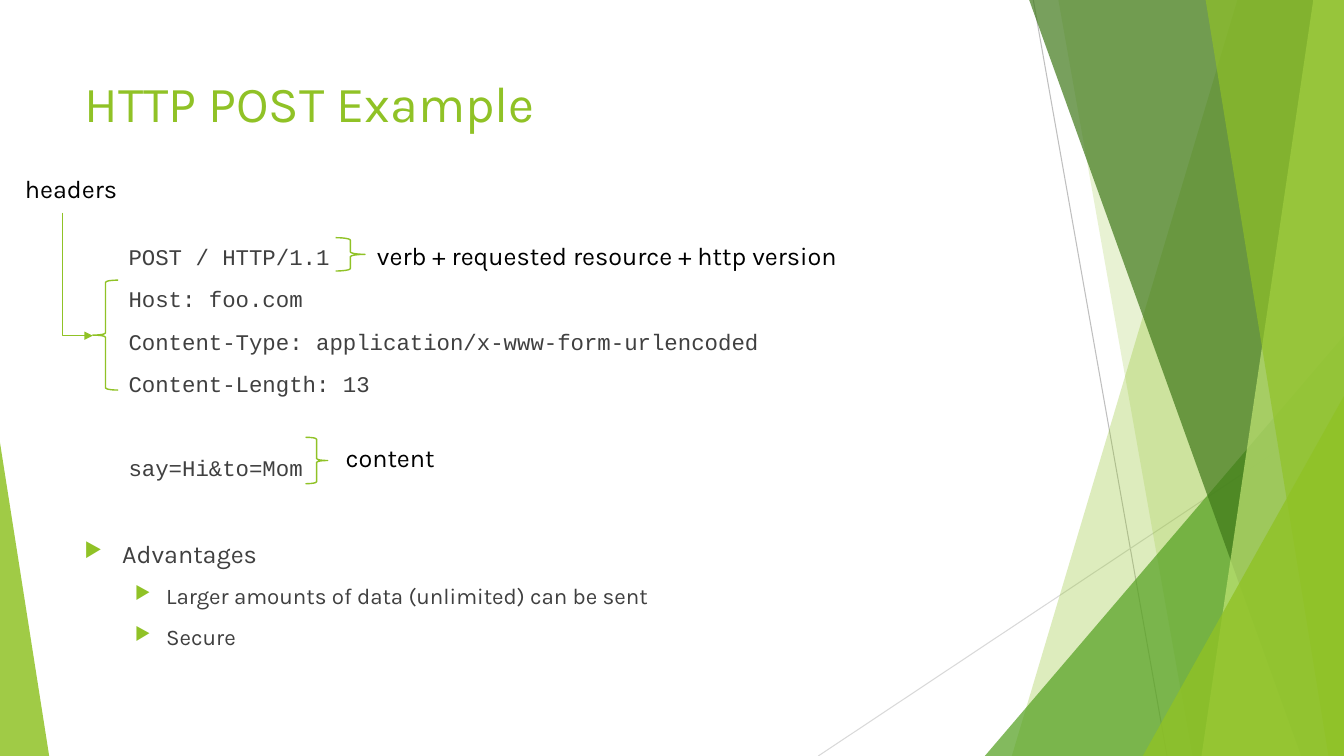
from lxml import etree
from pptx import Presentation
from pptx import util as u
from pptx.dml.color import RGBColor
from pptx.enum import shapes, text
from pptx.oxml.ns import qn

W, H = 33.87, 19.05
LIME, GREY, BLACK = "90C226", "404040", "000000"
SHAPE = shapes.MSO_SHAPE


def rgb(value):
    return RGBColor.from_string(value)


def child(parent, tag, **attrs):
    return etree.SubElement(parent, qn(tag), attrs)


def fill(sp, color, alpha):
    sp.shadow.inherit = False
    sp.line.fill.background()
    sp.fill.solid()
    sp.fill.fore_color.rgb = rgb(color)
    clr = sp.fill._xPr.find(".//" + qn("a:srgbClr"))
    child(clr, "a:alpha", val=str(alpha * 1000))


def band(s, top_x, bottom_x, color, alpha):
    points = [(W, -0.02), (W, H), (bottom_x, H)]
    fb = s.shapes.build_freeform(u.Cm(top_x), u.Cm(-0.02))
    fb.add_line_segments([(u.Cm(x), u.Cm(y)) for x, y in points], close=True)
    fill(fb.convert_to_shape(), color, alpha)


def triangle(s, box, apex, color, alpha):
    sp = s.shapes.add_shape(SHAPE.ISOSCELES_TRIANGLE, *map(u.Cm, box))
    sp.adjustments[0] = apex
    fill(sp, color, alpha)


def brace(s, kind, box):
    sp = s.shapes.add_shape(kind, *map(u.Cm, box))
    sp.shadow.inherit = False
    sp.fill.background()
    sp.line.color.rgb = rgb(LIME)
    sp.line.width = u.Pt(1)


def connector(s, kind, ends, color, width):
    cn = s.shapes.add_connector(kind, *map(u.Cm, ends))
    cn.line.color.rgb = rgb(color)
    cn.line.width = u.Pt(width)
    child(cn._element.spPr, "a:effectLst")
    return cn


def bent_arrow(s, ends):
    cn = connector(s, shapes.MSO_CONNECTOR.ELBOW, ends, LIME, 1)
    spPr = cn._element.spPr
    spPr.find(qn("a:prstGeom")).set("prst", "bentConnector2")
    spPr.find(qn("a:xfrm")).set("rot", str(270 * 60000))
    child(spPr.find(qn("a:ln")), "a:tailEnd", type="triangle")


def write(tf, words, size=18, font="Karla", color=BLACK, before=0,
          margin=0, indent=0, level=0, bullet=False):
    p = tf.paragraphs[0]
    if p.runs:
        p = tf.add_paragraph()
    p.alignment = text.PP_ALIGN.LEFT
    p.level = level
    p.space_before = u.Pt(before)
    r = p.add_run()
    r.text = words
    r.font.size = u.Pt(size)
    r.font.name = font
    r.font.color.rgb = rgb(color)
    pPr = p._p.get_or_add_pPr()
    pPr.set("marL", str(u.Cm(margin)))
    pPr.set("indent", str(u.Cm(indent)))
    if bullet:
        child(child(pPr, "a:buClr"), "a:srgbClr", val=LIME)
        child(pPr, "a:buSzPct", val="80000")
        child(pPr, "a:buChar", char="▶")


def text_box(s, box):
    tf = s.shapes.add_textbox(*map(u.Cm, box)).text_frame
    tf.word_wrap = True
    return tf


def label(s, words, box):
    write(text_box(s, box), words)


def title(s, words, box):
    sp = s.shapes.title
    sp.left, sp.top, sp.width, sp.height = map(u.Cm, box)
    tf = sp.text_frame
    tf.vertical_anchor = text.MSO_ANCHOR.TOP
    write(tf, words, size=36, color=LIME)


def backdrop(s):
    straight = shapes.MSO_CONNECTOR.STRAIGHT
    connector(s, straight, (26.04, 0, 29.41, H), "BFBFBF", 0.75)
    connector(s, straight, (W, 10.24, 20.62, H), "D9D9D9", 0.75)
    band(s, 31.19, 25.5, LIME, 30)
    band(s, 26.67, 30.05, LIME, 20)
    triangle(s, (24.82, 8.46, 9.05, 10.59), 1, "54A021", 72)
    band(s, 25.93, 32.79, "3F7819", 70)
    band(s, 33.1, 30.28, "C0E474", 70)
    band(s, 30.38, 33.48, LIME, 65)
    triangle(s, (28.8, 9.98, 5.07, 9.07), 1, LIME, 80)
    triangle(s, (0, 11.15, 1.24, 7.9), 0, LIME, 85)


def body(s):
    tf = text_box(s, (1.88, 5.99, 23.88, 10.77))
    request = [
        ("POST / HTTP/1.1", 11.2),
        ("Host: foo.com", 11.2),
        ("Content-Type: application/x-www-form-urlencoded", 11.2),
        ("Content-Length: 13", 11.2),
        ("say=Hi&to=Mom", 40.4),
    ]
    for words, before in request:
        write(tf, words, size=16, font="Courier New", color=GREY,
              before=before, margin=1.11, level=1)
    write(tf, "Advantages", color=GREY, before=41, margin=0.95,
          indent=-0.95, bullet=True)
    for words in ("Larger amounts of data (unlimited) can be sent", "Secure"):
        write(tf, words, size=16, color=GREY, before=10, margin=2.06,
              indent=-0.79, level=1, bullet=True)


def main():
    prs = Presentation()
    prs.slide_width, prs.slide_height = u.Cm(W), u.Cm(H)
    s = prs.slides.add_slide(prs.slide_layouts[5])
    backdrop(s)
    title(s, "HTTP POST Example", (1.88, 1.7, 23.88, 3.66))
    body(s)
    brace(s, SHAPE.RIGHT_BRACE, (8.46, 5.99, 0.74, 0.84))
    brace(s, SHAPE.LEFT_BRACE, (2.34, 7.06, 0.64, 2.77))
    brace(s, SHAPE.RIGHT_BRACE, (7.7, 11.02, 0.56, 1.17))
    label(s, "verb + requested resource + http version", (9.25, 5.92, 13.11, 1.02))
    bent_arrow(s, (3.51, 6.53, 0.41, 7.29))
    label(s, "headers", (0.38, 4.24, 4.55, 1.02))
    label(s, "content", (8.46, 11.02, 8.26, 1.02))
    prs.save("out.pptx")


if __name__ == "__main__":
    main()
